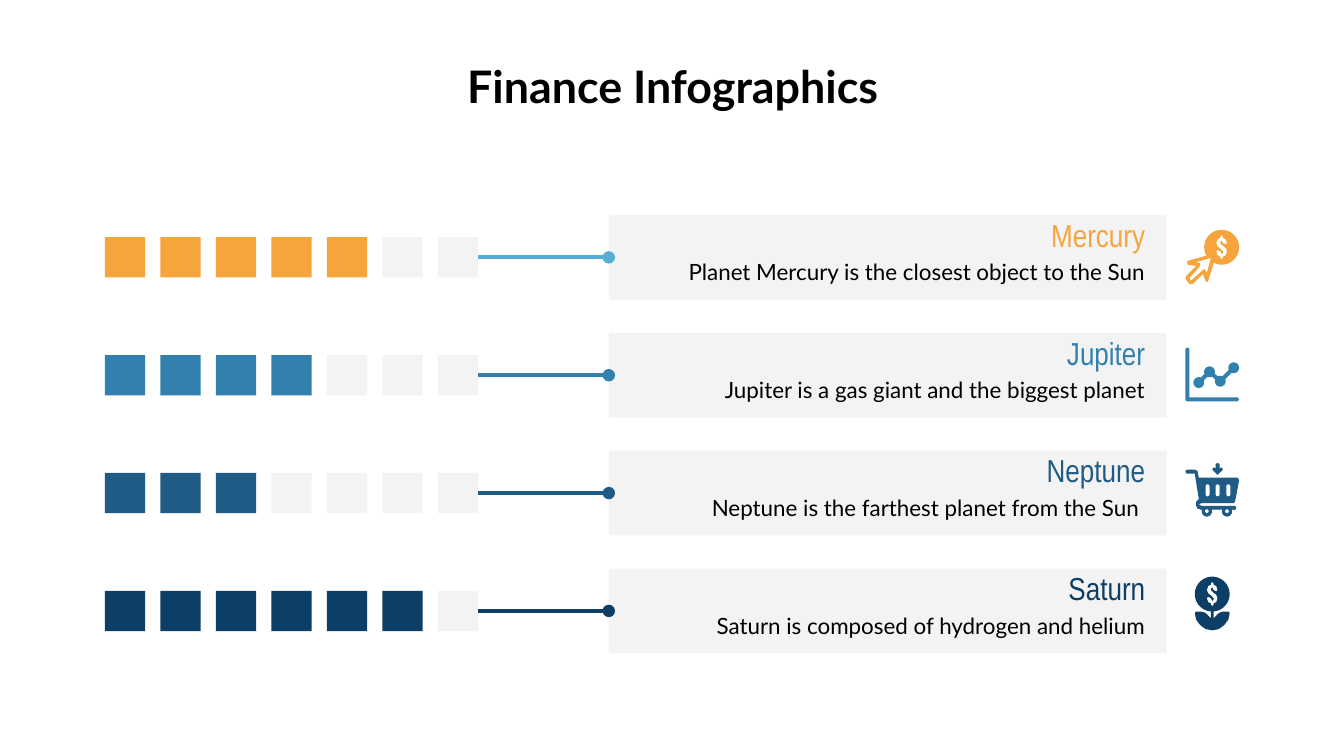
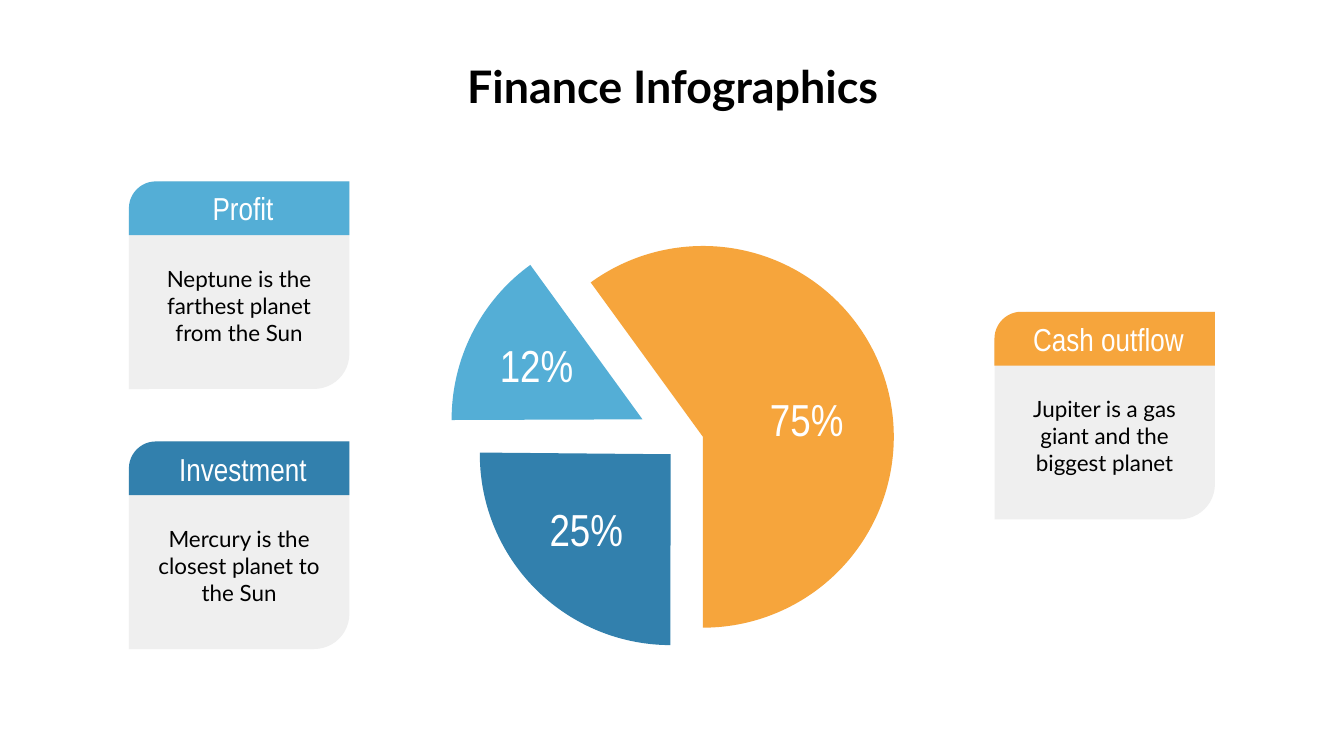
from dataclasses import dataclass
from math import cos, radians, sin

from lxml import etree
from pptx import Presentation
from pptx.dml.color import RGBColor
from pptx.enum.shapes import MSO_CONNECTOR, MSO_SHAPE
from pptx.enum.text import MSO_ANCHOR, PP_ALIGN
from pptx.oxml.ns import qn
from pptx.util import Inches, Pt

RECTANGLE = MSO_SHAPE.RECTANGLE
PIE = MSO_SHAPE.PIE
CARD_BODY = MSO_SHAPE.ROUND_2_DIAG_RECTANGLE
CARD_HEADER = MSO_SHAPE.ROUND_1_RECTANGLE
STRAIGHT = MSO_CONNECTOR.STRAIGHT
TOP, MIDDLE = MSO_ANCHOR.TOP, MSO_ANCHOR.MIDDLE
LEFT, CENTER, RIGHT = PP_ALIGN.LEFT, PP_ALIGN.CENTER, PP_ALIGN.RIGHT
LEFT_SIDE, RIGHT_SIDE = 1, 3
CELL = Inches(0.1)
COLUMNS, ROWS = 100, 56.25


@dataclass(frozen=True)
class Theme:
    orange: str = "F6A53C"
    sky: str = "54AED6"
    blue: str = "3280AD"
    deep: str = "1F5B84"
    navy: str = "0D3E65"
    panel: str = "F3F3F3"
    card: str = "EFEFEF"
    white: str = "FFFFFF"
    black: str = "000000"
    text_font: str = "Lato"
    label_font: str = "Arial Narrow"
    title_size: int = 24
    label_size: int = 17
    text_size: int = 12
    share_size: int = 24
    line_width: float = 2.25


THEME = Theme()


@dataclass(frozen=True)
class Box:
    column: float
    row: float
    columns: float
    rows: float

    def inner(self, column, row, columns, rows):
        return Box(self.column + column, self.row + row, columns, rows)

    def place(self):
        return [round(value * CELL) for value in (self.column, self.row, self.columns, self.rows)]


PAGE = Box(0, 0, COLUMNS, ROWS)


def colour(value):
    return RGBColor.from_string(value)


def paint(shape, fill):
    shape.shadow.inherit = False
    shape.fill.solid()
    shape.fill.fore_color.rgb = colour(fill)
    shape.line.fill.background()
    return shape


def add_block(shapes, kind, box, fill, adjustments=()):
    shape = paint(shapes.add_shape(kind, *box.place()), fill)
    for index, value in enumerate(adjustments):
        shape.adjustments[index] = value
    return shape


def write(shape, text, font, size, ink, align, anchor=MIDDLE, bold=False, top_inset=1):
    frame = shape.text_frame
    frame.word_wrap = True
    frame.vertical_anchor = anchor
    frame.margin_left = frame.margin_right = frame.margin_bottom = CELL
    frame.margin_top = CELL * top_inset
    paragraph = frame.paragraphs[0]
    paragraph.alignment = align
    run = paragraph.add_run()
    run.text = text
    run.font.name = font
    run.font.size = Pt(size)
    run.font.bold = bold
    run.font.color.rgb = colour(ink)


def add_text(shapes, box, *style, **options):
    write(shapes.add_textbox(*box.place()), *style, **options)


def add_title(slide, box):
    add_text(slide.shapes, box.inner(2, 3.4, 96.1, 6.3), "Finance Infographics",
             THEME.text_font, THEME.title_size, THEME.black, CENTER, anchor=TOP, bold=True)


def arc(x, y, radius, start=0, end=360, steps=30):
    angles = [radians(start + (end - start) * step / steps) for step in range(steps + 1)]
    return [(x + radius * cos(angle), y + radius * sin(angle)) for angle in angles]


def dollar(x, y):
    half = [(0, -9), (1, -8), (1, -7), (3, -6), (4, -3), (3, -2), (1, -3), (0, -5), (-1, -4),
            (-1, -3), (1, -1), (3, 0.5), (4, 3), (3, 6), (1, 7), (1, 8)]
    turned = [(-across, -down) for across, down in half]
    outline = half[:7] + half[7:11] + half[11:] + turned
    return [(x + across, y + down) for across, down in outline]


def click_icon():
    pointer = [(17, 38), (16, 39), (15, 38), (13, 33), (6, 40), (4.5, 40.5), (3, 40), (1, 38),
               (0, 36), (1, 34), (8, 27), (2, 26), (1.2, 24.5), (2, 23)]
    inside = [(19, 21), (16, 32), (15, 30), (14, 29.3), (13, 30), (4, 38), (3, 36), (11, 27),
              (11, 25), (8, 24)]
    return [arc(27, 13, 13, 151, 477) + pointer, inside, dollar(27, 13)]


def chart_icon():
    axes = [(1, 0), (0, 1), (0, 39), (1, 40), (39, 40), (40, 38.5), (39, 37), (3, 37), (3, 1), (2, 0)]
    bends = [(10, 26, -23, -67 + 360), (18, 18, 157, 379), (26, 25, 243, 293),
             (36, 15, 157, 473), (26, 25, -23, 199), (18, 18, 63, 113)]
    trend = [point for x, y, start, end in bends for point in arc(x, y, 4, start, end)]
    return [axes, trend]


def cart_icon():
    wheels = (16, 31)
    rims = [point for x in wheels for point in arc(x, 36.2, 3.8, 200, -20)]
    cart = [(1, 5), (0, 6.5), (1, 8), (7, 8), (10, 27), (8, 29), (8, 32), (9, 34), (12, 35), *rims,
            (37, 35), (38, 33.5), (37, 32), (12, 32), (10, 31), (12, 30), (36, 30), (37, 29),
            (40, 13), (39, 11), (10, 11), (9, 6), (7, 5)]
    arrow = [(24, 0), (22.5, 1), (22.5, 4), (21, 3.5), (20, 5), (24, 9), (28, 5), (27, 3.5),
             (25.5, 4), (25.5, 1)]
    slots = [arc(x, 17.5, 1.5, 180, 360) + arc(x, 23.5, 1.5, 0, 180) for x in (16.5, 24, 32)]
    return [cart, arrow, *slots, *[arc(x, 36, 1.4) for x in wheels]]


def flower_icon():
    leaf = [(19, 26), (19, 31), (18, 30), (15, 27), (12, 26), (8, 26), (7, 27), (8, 32), (11, 36),
            (15, 39), (20, 40)]
    mirrored = [(40 - x, y) for x, y in reversed(leaf)]
    return [arc(20, 13, 13), dollar(20, 13), leaf + mirrored]


def add_icon(shapes, box, contours, fill):
    left, top, width, _ = box.place()
    unit = width / 40
    scaled = [[(left + x * unit, top + y * unit) for x, y in contour] for contour in contours]
    builder = shapes.build_freeform(*scaled[0][0], scale=1.0)
    for index, (first, *others) in enumerate(scaled):
        if index:
            builder.move_to(*first)
        builder.add_line_segments(others, close=True)
    paint(builder.convert_to_shape(), fill)


def join(shapes, square, panel, ink):
    connector = shapes.add_connector(STRAIGHT, 0, 0, 0, 0)
    connector.begin_connect(square, RIGHT_SIDE)
    connector.end_connect(panel, LEFT_SIDE)
    connector.line.color.rgb = colour(ink)
    connector.line.width = Pt(THEME.line_width)
    properties = connector._element.spPr
    etree.SubElement(properties.find(qn("a:ln")), qn("a:tailEnd"), type="oval")
    etree.SubElement(properties, qn("a:effectLst"))


def add_rating(slide, box, name, text, score, ink, line_ink, icon, icon_row):
    shapes = slide.shapes
    panel = add_block(shapes, RECTANGLE, box.inner(37.5, 0, 41.5, 6.3), THEME.panel)
    meter = shapes.add_group_shape().shapes
    for index in range(7):
        fill = ink if index < score else THEME.panel
        square = add_block(meter, RECTANGLE, box.inner(4.13 * index, 1.65, 3, 3), fill)
    labels = shapes.add_group_shape().shapes
    add_text(labels, box.inner(40, -0.9, 38.4, 4.7), name,
             THEME.label_font, THEME.label_size, ink, RIGHT)
    add_text(labels, box.inner(40, 1.3, 38.4, 5.8), text,
             THEME.text_font, THEME.text_size, THEME.black, RIGHT)
    join(shapes, square, panel, line_ink)
    add_icon(shapes, box.inner(80.4, icon_row, 4, 4), icon, ink)


def ratings_slide(slide, box):
    add_title(slide, box)
    ratings = [
        ("Mercury", "Planet Mercury is the closest object to the Sun", 5,
         THEME.orange, THEME.sky, click_icon(), 1.1),
        ("Jupiter", "Jupiter is a gas giant and the biggest planet", 4,
         THEME.blue, THEME.blue, chart_icon(), 1.1),
        ("Neptune", "Neptune is the farthest planet from the Sun ", 3,
         THEME.deep, THEME.deep, cart_icon(), 0.9),
        ("Saturn", "Saturn is composed of hydrogen and helium", 6,
         THEME.navy, THEME.navy, flower_icon(), 0.6),
    ]
    for index, rating in enumerate(ratings):
        add_rating(slide, box.inner(7.8, 16 + 8.77 * index, 84.4, 6.3), *rating)


def add_slice(slide, box, fill, turn, start, end):
    degree = 0.6
    add_block(slide.shapes, PIE, box, fill, (start * degree, end * degree)).rotation = turn


def add_card(slide, box, name, text, fill):
    shapes = slide.shapes.add_group_shape().shapes
    body = add_block(shapes, CARD_BODY, box, THEME.card, (0.17, 0))
    write(body, text, THEME.text_font, THEME.text_size, THEME.black, CENTER, top_inset=4)
    header = add_block(shapes, CARD_HEADER, box.inner(0, 0, box.columns, 4), fill, (0.5,))
    header._element.spPr.xfrm.set("flipH", "1")
    write(header, name, THEME.label_font, THEME.label_size, THEME.white, CENTER)


def shares_slide(slide, box):
    add_title(slide, box)
    slices = [
        (38.1, 18.3, THEME.orange, 204, 30, 246),
        (33.6, 17, THEME.sky, 179.8, 0, 54.2),
        (35.7, 19.6, THEME.blue, 90.1, 0, 90.4),
    ]
    for column, row, *style in slices:
        add_slice(slide, box.inner(column, row, 28.4, 28.4), *style)
    cards = [
        (9.6, 32.85, "Investment", "Mercury is the closest planet to the Sun", THEME.blue),
        (74, 23.2, "Cash outflow", "Jupiter is a gas giant and the biggest planet", THEME.orange),
        (9.6, 13.5, "Profit", "Neptune is the farthest planet from the Sun", THEME.sky),
    ]
    for column, row, *content in cards:
        add_card(slide, box.inner(column, row, 16.4, 15.45), *content)
    for column, row, share in [(39.9, 37, "25%"), (36.2, 24.8, "12%"), (56.3, 28.8, "75%")]:
        add_text(slide.shapes, box.inner(column, row, 7.8, 4.7), share,
                 THEME.label_font, THEME.share_size, THEME.white, LEFT)


def main():
    presentation = Presentation()
    presentation.slide_width = round(COLUMNS * CELL)
    presentation.slide_height = round(ROWS * CELL)
    blank = presentation.slide_layouts[6]
    for build in (ratings_slide, shares_slide):
        build(presentation.slides.add_slide(blank), PAGE)
    presentation.save("out.pptx")


if __name__ == "__main__":
    main()
